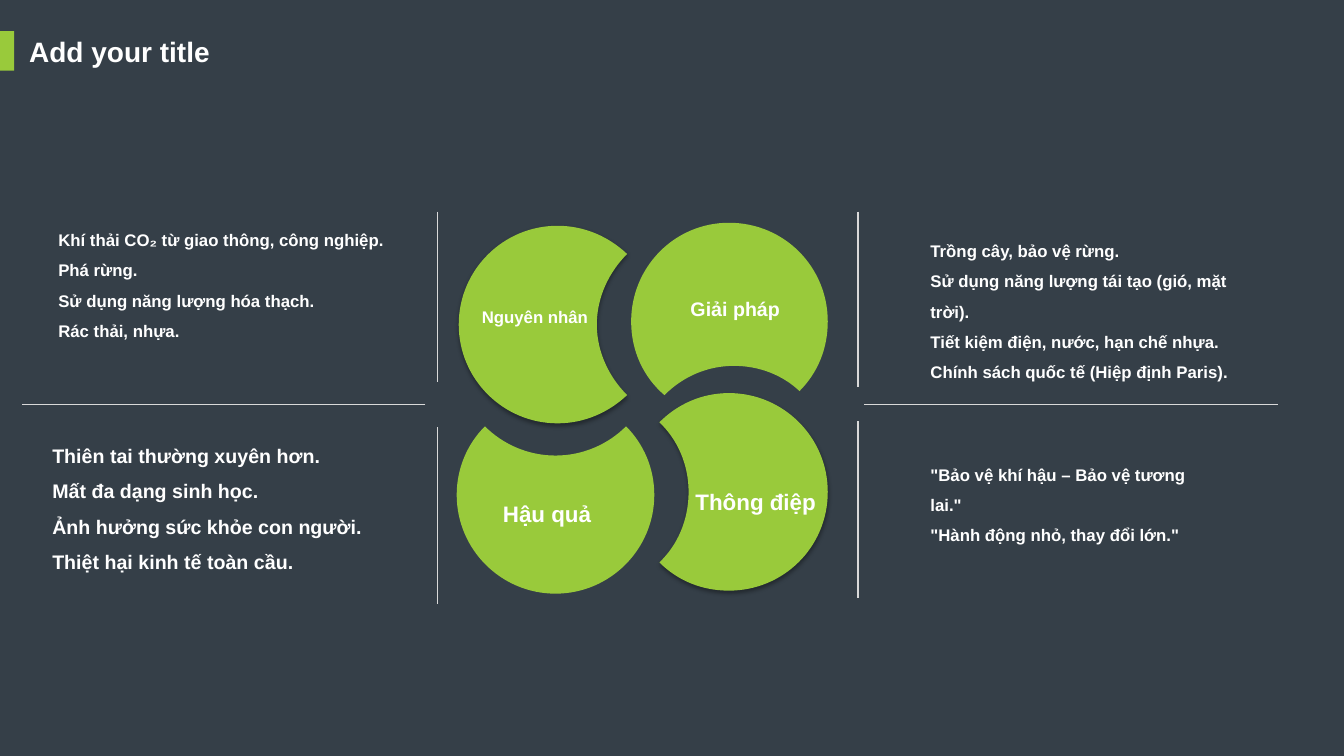
from lxml import etree
from pptx import Presentation
from pptx.dml.color import RGBColor
from pptx.enum.shapes import MSO_CONNECTOR, MSO_SHAPE
from pptx.enum.text import MSO_AUTO_SIZE
from pptx.oxml import parse_xml
from pptx.oxml.ns import nsdecls, qn
from pptx.util import Inches, Pt

COLORS = {"background": "353F48", "green": "99CA3B", "text": "FFFFFF",
          "line": "D9D9D9", "shadow": "000000"}
FONT = "Arial"

# Content: box is left, top, width, height in inches
TITLE = ("Add your title", (0.19, 0.29, 2.83, 0.44), 20)
ACCENT = (0, 0.31, 0.14, 0.39)

# Each outline: a start point, then curves of two control points and an end
PETALS = [
    {"label": "Nguyên nhân", "box": (4.68, 2.99, 1.12, 1.8), "size": 12,
     "shadow": True, "start": (5.53, 2.24), "curves": [
         (5.8, 2.24, 6.04, 2.35, 6.22, 2.52), (6.04, 2.7, 5.92, 2.95, 5.92, 3.22),
         (5.92, 3.49, 6.04, 3.74, 6.22, 3.92), (6.04, 4.09, 5.8, 4.2, 5.53, 4.2),
         (4.99, 4.2, 4.55, 3.76, 4.55, 3.22), (4.55, 2.68, 4.99, 2.24, 5.53, 2.24)]},
    {"label": "Giải pháp", "box": (6.75, 2.9, 1.09, 0.34), "size": 14,
     "shadow": False, "start": (7.23, 2.21), "curves": [
         (7.78, 2.21, 8.21, 2.65, 8.21, 3.19), (8.21, 3.46, 8.11, 3.7, 7.93, 3.88),
         (7.76, 3.72, 7.53, 3.63, 7.28, 3.63), (7.01, 3.63, 6.77, 3.74, 6.59, 3.92),
         (6.38, 3.74, 6.26, 3.48, 6.26, 3.19), (6.26, 2.65, 6.69, 2.21, 7.23, 2.21)]},
    {"label": "Thông điệp", "box": (6.8, 4.79, 1.4, 0.37), "size": 16,
     "shadow": True, "start": (7.23, 3.9), "curves": [
         (7.77, 3.9, 8.21, 4.34, 8.21, 4.88), (8.21, 5.43, 7.77, 5.86, 7.23, 5.86),
         (6.96, 5.86, 6.72, 5.76, 6.54, 5.58), (6.72, 5.41, 6.83, 5.16, 6.83, 4.88),
         (6.83, 4.61, 6.72, 4.36, 6.54, 4.19), (6.72, 4.01, 6.96, 3.9, 7.23, 3.9)]},
    {"label": "Hậu quả", "box": (4.89, 4.91, 1.78, 0.63), "size": 16,
     "shadow": False, "start": (4.81, 4.23), "curves": [
         (4.99, 4.41, 5.24, 4.52, 5.51, 4.52), (5.78, 4.52, 6.03, 4.41, 6.21, 4.23),
         (6.38, 4.4, 6.49, 4.64, 6.49, 4.91), (6.49, 5.45, 6.05, 5.89, 5.51, 5.89),
         (4.97, 5.89, 4.53, 5.45, 4.53, 4.91), (4.53, 4.64, 4.64, 4.4, 4.81, 4.23)]},
]

DIVIDERS = [
    (4.34, 2.1, 4.34, 3.79), (4.34, 4.24, 4.34, 5.99),
    (8.51, 4.18, 8.51, 5.93), (8.51, 2.1, 8.51, 3.84),
    (8.57, 4.01, 12.68, 4.01), (4.22, 4.01, 0.22, 4.01),
]

# "\v" is a line break inside a paragraph
NOTES = [
    ((0.48, 2.13, 4.2, 1.65), 12, [
        "Khí thải CO₂ từ giao thông, công nghiệp.",
        "Phá rừng.\vSử dụng năng lượng hóa thạch.",
        "Rác thải, nhựa."]),
    ((0.42, 4.24, 3.52, 4.43), 14, [
        "Thiên tai thường xuyên hơn.",
        "Mất đa dạng sinh học.",
        "Ảnh hưởng sức khỏe con người.",
        "Thiệt hại kinh tế toàn cầu."]),
    ((9.13, 2.24, 3.5, 5.05), 12, [
        "Trồng cây, bảo vệ rừng.",
        "Sử dụng năng lượng tái tạo (gió, mặt trời).",
        "Tiết kiệm điện, nước, hạn chế nhựa.",
        "Chính sách quốc tế (Hiệp định Paris)."]),
    ((9.13, 4.46, 2.77, 1.31), 12, [
        '"Bảo vệ khí hậu – Bảo vệ tương lai."',
        '"Hành động nhỏ, thay đổi lớn."']),
]


def color(name):
    return RGBColor.from_string(COLORS[name])


def paint_green(shape):
    shape.fill.solid()
    shape.fill.fore_color.rgb = color("green")
    shape.line.fill.background()
    shape.shadow.inherit = False


def add_text(shapes, box, lines, size, wrap=True, spacing=None):
    frame = shapes.add_textbox(*map(Inches, box)).text_frame
    frame.word_wrap = wrap
    frame.auto_size = MSO_AUTO_SIZE.NONE
    for index, line in enumerate(lines):
        paragraph = frame.add_paragraph() if index else frame.paragraphs[0]
        paragraph.text = line
        paragraph.line_spacing = spacing
        paragraph.font.name = FONT
        paragraph.font.size = Pt(size)
        paragraph.font.bold = True
        paragraph.font.color.rgb = color("text")


def add_curved_shape(shapes, start, curves):
    points = [tuple(map(Inches, curve[i:i + 2])) for curve in curves for i in (0, 2, 4)]
    builder = shapes.build_freeform(*map(Inches, start))
    builder.add_line_segments(points, close=True)
    shape = builder.convert_to_shape()
    # Turn every three straight segments into one Bezier curve
    segments = list(shape._element.iter(qn("a:lnTo")))
    for i in range(0, len(points), 3):
        bezier = etree.Element(qn("a:cubicBezTo"))
        segments[i].addprevious(bezier)
        for segment in segments[i:i + 3]:
            bezier.append(segment[0])
            segment.getparent().remove(segment)
    return shape


def add_soft_shadow(shape):
    effects = shape._element.spPr.find(qn("a:effectLst"))
    effects.append(parse_xml(
        f'<a:outerShdw {nsdecls("a")} blurRad="{Pt(3.1)}" dist="{Pt(1.8)}" '
        f'dir="5400000" algn="t" rotWithShape="0"><a:srgbClr val="{COLORS["shadow"]}">'
        '<a:alpha val="35000"/></a:srgbClr></a:outerShdw>'))


def main():
    presentation = Presentation()
    presentation.slide_width = Inches(13.33)
    presentation.slide_height = Inches(7.5)
    slide = presentation.slides.add_slide(presentation.slide_layouts[6])
    slide.background.fill.solid()
    slide.background.fill.fore_color.rgb = color("background")

    # Title with accent bar
    title, title_box, title_size = TITLE
    add_text(slide.shapes, title_box, [title], title_size)
    paint_green(slide.shapes.add_shape(MSO_SHAPE.RECTANGLE, *map(Inches, ACCENT)))

    # Petals, each grouped with its label
    for petal in PETALS:
        group = slide.shapes.add_group_shape()
        shape = add_curved_shape(group.shapes, petal["start"], petal["curves"])
        paint_green(shape)
        if petal["shadow"]:
            add_soft_shadow(shape)
        add_text(group.shapes, petal["box"], [petal["label"]], petal["size"], wrap=False)

    # Dividers
    for ends in DIVIDERS:
        line = slide.shapes.add_connector(MSO_CONNECTOR.STRAIGHT, *map(Inches, ends))
        line.line.color.rgb = color("line")
        line.line.width = Pt(0.75)
        etree.SubElement(line._element.spPr, qn("a:effectLst"))

    # Notes around the petals
    for box, size, lines in NOTES:
        add_text(slide.shapes, box, lines, size, spacing=1.5)

    presentation.save("out.pptx")


if __name__ == "__main__":
    main()
